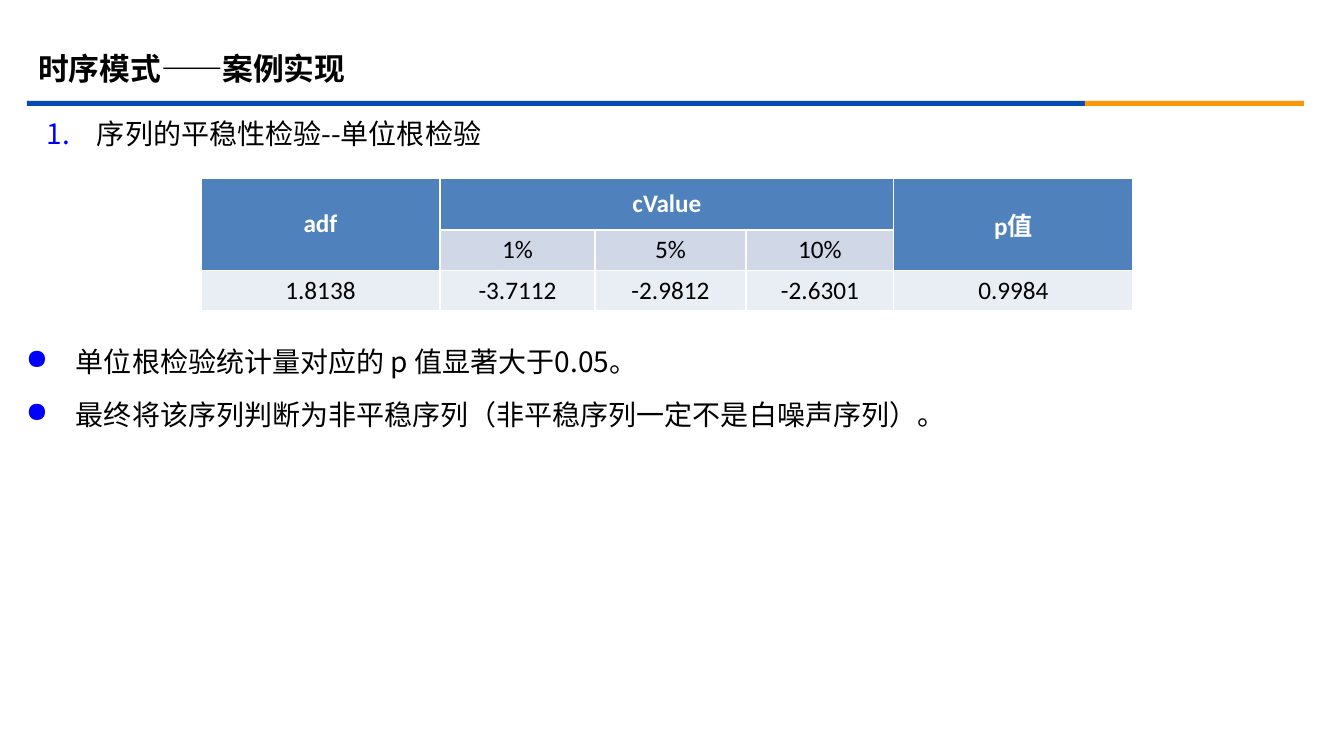
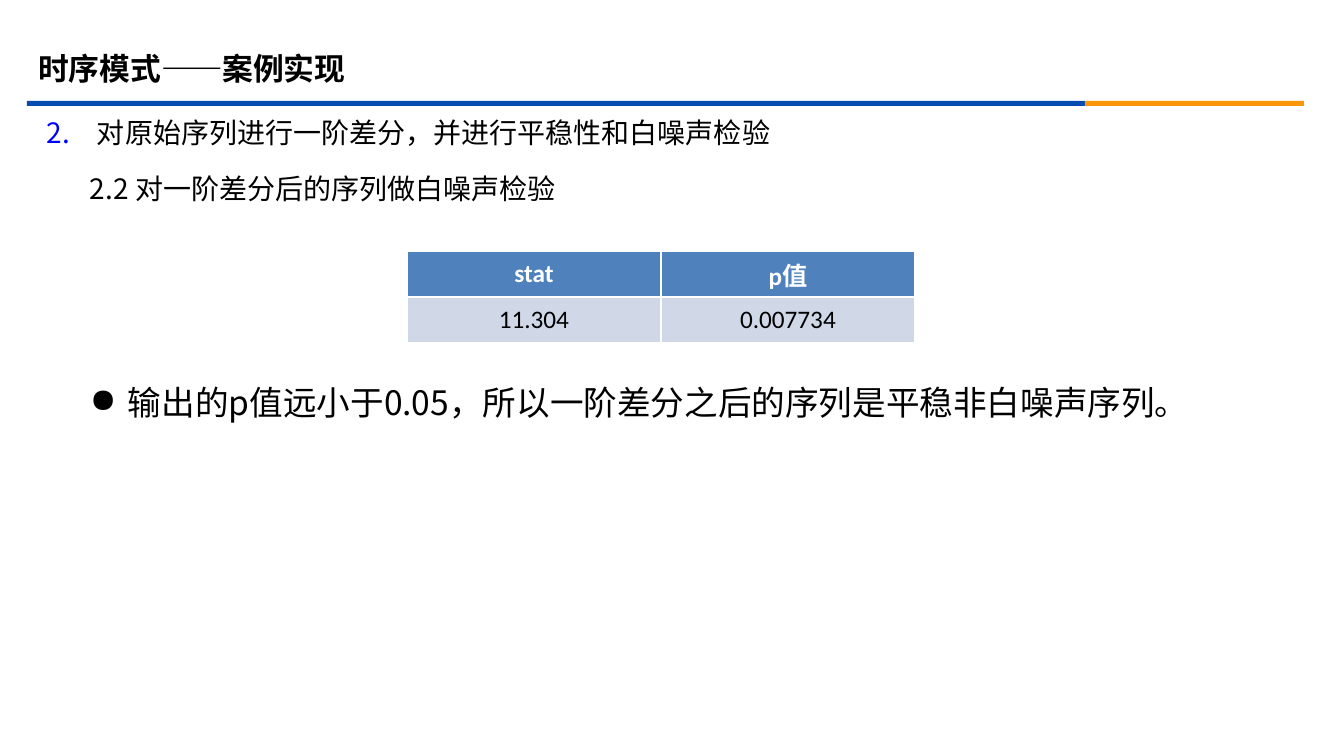
from lxml import etree
from pptx import Presentation
from pptx import util as u
from pptx.dml.color import RGBColor
from pptx.enum import shapes, text
from pptx.oxml.ns import qn

PX = 914400 / 100.8
CJK, LATIN = "Noto Sans CJK SC", "Calibri"
COLORS = {
    "blue": "064BB2", "orange": "FB9708", "black": "000000", "white": "FFFFFF",
    "bullet": "0000FF", "head": "4F81BD", "dark": "D0D8E8", "light": "E9EDF4",
}
TITLE = "时序模式——案例实现"
TITLE_BOX = (28, 39, 1210, 58)
BANDS = [("blue", (27, 101, 1058, 5)), ("orange", (1085, 101, 219, 5))]

# text box: place, paragraphs, then size, line spacing, inset, indent and bullet
# table: rows of texts, merges as (first row, first column, last row, last column)
SLIDES = [
    {
        "texts": [
            {"box": (47, 110, 1281, 47), "lines": ["序列的平稳性检验--单位根检验"],
             "spacing": 1.2, "indent": 50, "number": 1, "color": "bullet"},
            {"box": (26, 331, 1310, 121),
             "lines": ["单位根检验统计量对应的 p 值显著大于0.05。",
                       "最终将该序列判断为非平稳序列（非平稳序列一定不是白噪声序列）。"],
             "spacing": 1.4, "indent": 50, "bullet": "●", "color": "bullet"},
        ],
        "table": {
            "at": (201, 178), "cols": [239, 155, 151, 148, 239], "rows": [52, 40, 40],
            "cells": [["adf", "cValue", "", "", "p值"],
                      ["", "1%", "5%", "10%", ""],
                      ["1.8138", "-3.7112", "-2.9812", "-2.6301", "0.9984"]],
            "merges": [(0, 0, 1, 0), (0, 1, 0, 3), (0, 4, 1, 4)],
        },
    },
    {
        "texts": [
            {"box": (47, 105, 1281, 50),
             "lines": ["对原始序列进行一阶差分，并进行平稳性和白噪声检验"],
             "spacing": 1.3, "indent": 50, "number": 2, "color": "bullet"},
            {"box": (80, 167, 1228, 50), "lines": ["2.2 对一阶差分后的序列做白噪声检验"],
             "inset": (10, 5)},
            {"box": (80, 377, 1228, 59),
             "lines": ["输出的p值远小于0.05，所以一阶差分之后的序列是平稳非白噪声序列。"],
             "size": 24, "inset": (10, 5), "indent": 38, "bullet": "●"},
        ],
        "table": {
            "at": (407, 251), "cols": [254, 254], "rows": [46, 46],
            "cells": [["stat", "p值"], ["11.304", "0.007734"]],
            "merges": [],
        },
    },
]


def px(*values):
    return [u.Emu(round(v * PX)) for v in values]


def rgb(name):
    return RGBColor.from_string(COLORS[name])


def add_run(p, words, size, color="black", bold=False, font=CJK):
    r = p.add_run()
    r.text = words
    f = r.font
    f.size, f.bold, f.name = u.Pt(size), bold, font
    f.color.rgb = rgb(color)
    etree.SubElement(r._r.get_or_add_rPr(), qn("a:ea"), typeface=CJK)


def add_bullet(p, indent, bullet, number, color):
    """Hanging indent with a bullet character or an automatic number."""
    pPr = p._p.get_or_add_pPr()
    left = px(indent)[0]
    pPr.set("marL", str(left))
    pPr.set("indent", str(-left))
    if color:
        clr = etree.SubElement(pPr, qn("a:buClr"))
        etree.SubElement(clr, qn("a:srgbClr"), val=COLORS[color])
    if number:
        etree.SubElement(pPr, qn("a:buAutoNum"), type="arabicPeriod", startAt=str(number))
    else:
        etree.SubElement(pPr, qn("a:buChar"), char=bullet)


def add_text(slide, box, lines, size=20, spacing=1.0, inset=(0, 0),
             indent=0, bullet=None, number=None, color=None):
    tf = slide.shapes.add_textbox(*px(*box)).text_frame
    tf.word_wrap = True
    tf.margin_left, tf.margin_top = tf.margin_right, tf.margin_bottom = px(*inset)
    for i, line in enumerate(lines):
        p = tf.add_paragraph() if i else tf.paragraphs[0]
        p.line_spacing = spacing
        if i:
            p.space_before = u.Pt(size * 0.2)
        if indent:
            add_bullet(p, indent, bullet, number, color)
        add_run(p, line, size)


def add_table(slide, at, cols, rows, cells, merges):
    frame = slide.shapes.add_table(len(rows), len(cols), *px(*at, sum(cols), sum(rows)))
    table = frame.table
    for col, width in zip(table.columns, px(*cols)):
        col.width = width
    for row, height in zip(table.rows, px(*rows)):
        row.height = height
    for top, left, bottom, right in merges:
        table.cell(top, left).merge(table.cell(bottom, right))
    for i, line in enumerate(cells):
        for j, words in enumerate(line):
            cell = table.cell(i, j)
            cell.fill.solid()
            cell.fill.fore_color.rgb = rgb(("head", "dark", "light")[i])
            cell.vertical_anchor = text.MSO_ANCHOR.MIDDLE
            cell.margin_left = cell.margin_right = px(13)[0]
            cell.margin_top = cell.margin_bottom = px(5)[0]
            if words:
                p = cell.text_frame.paragraphs[0]
                p.alignment = text.PP_ALIGN.CENTER
                add_run(p, words, 18, "black" if i else "white", not i, LATIN)


def add_title(slide):
    title = slide.shapes.title
    title.left, title.top, title.width, title.height = px(*TITLE_BOX)
    tf = title.text_frame
    tf.vertical_anchor = text.MSO_ANCHOR.MIDDLE
    tf.auto_size = text.MSO_AUTO_SIZE.NONE
    p = tf.paragraphs[0]
    p.alignment = text.PP_ALIGN.LEFT
    add_run(p, TITLE, 22, bold=True)


def move_bands_to_layout(slide, layout):
    """Draw the bands under the title and hand them to the shared layout."""
    for color, box in BANDS:
        sp = slide.shapes.add_shape(shapes.MSO_SHAPE.RECTANGLE, *px(*box))
        sp.shadow.inherit = False
        sp.fill.solid()
        sp.fill.fore_color.rgb = rgb(color)
        sp.line.fill.background()
        layout.shapes.element.append(sp.element)


def main():
    prs = Presentation()
    prs.slide_width, prs.slide_height = px(1344, 756)
    layout = prs.slide_layouts[5]
    for i, content in enumerate(SLIDES):
        slide = prs.slides.add_slide(layout)
        if i == 0:
            move_bands_to_layout(slide, layout)
        add_title(slide)
        for item in content["texts"]:
            add_text(slide, **item)
        add_table(slide, **content["table"])
    prs.save("out.pptx")


if __name__ == "__main__":
    main()
